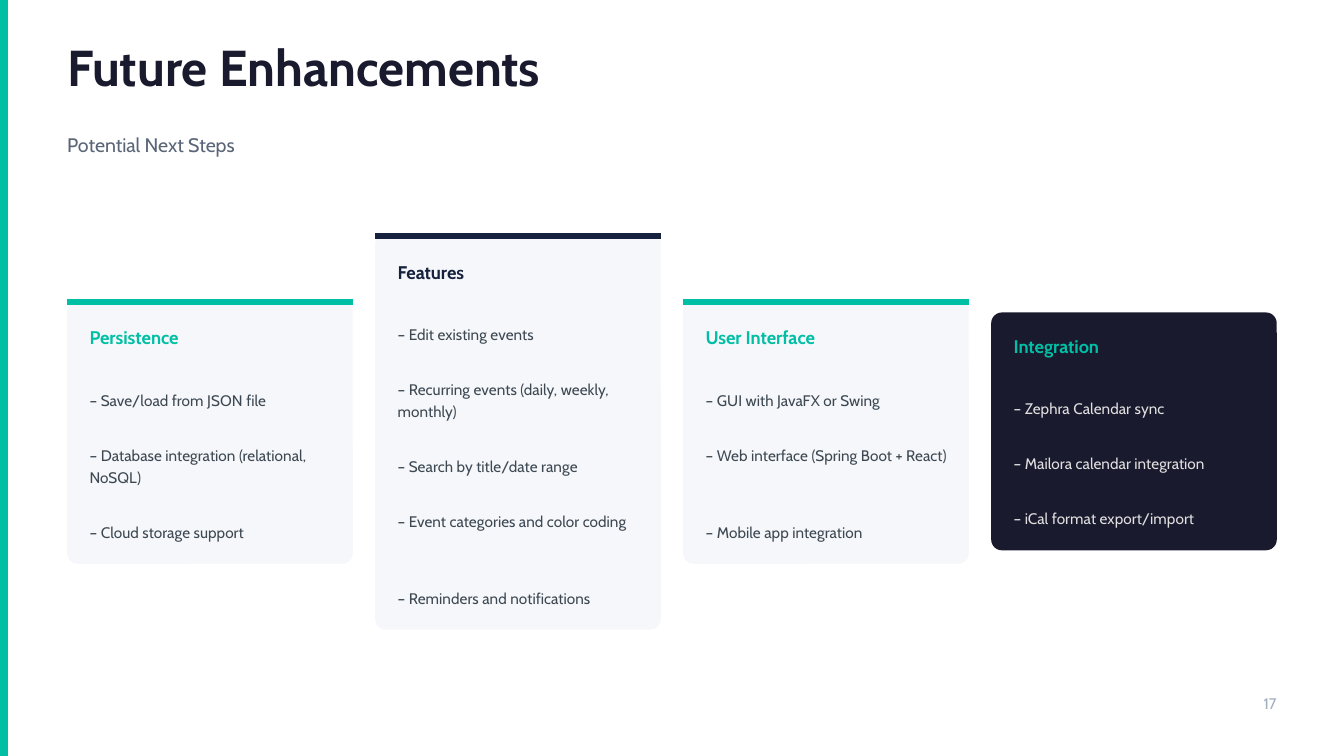
from dataclasses import dataclass

from lxml.etree import SubElement
from pptx import Presentation
from pptx.dml.color import RGBColor
from pptx.enum.shapes import MSO_CONNECTOR, MSO_SHAPE
from pptx.enum.text import MSO_ANCHOR, MSO_AUTO_SIZE, PP_ALIGN
from pptx.oxml.ns import qn
from pptx.util import Inches, Pt


@dataclass
class Theme:
    font: str = "Cabin"
    teal: str = "00BFA5"
    ink: str = "1A1A2E"
    navy: str = "16213E"
    slate: str = "5A6577"
    body: str = "3D4852"
    pale: str = "E0E0E0"
    mute: str = "A0AEC0"
    panel: str = "F5F7FA"
    # Each type size is paired with its line height, in points.
    title: tuple = (27, 27)
    lead: tuple = (10.5, 14.7)
    head: tuple = (9.75, 11.7)
    text: tuple = (8.25, 11.6)


def place(shape, x, y, w, h):
    """Move a text shape and give it a plain, top-aligned frame."""
    shape.left, shape.top = Inches(x), Inches(y)
    shape.width, shape.height = Inches(w), Inches(h)
    frame = shape.text_frame
    frame.margin_left = frame.margin_right = 0
    frame.margin_top = frame.margin_bottom = 0
    frame.word_wrap = True
    frame.auto_size = MSO_AUTO_SIZE.NONE
    frame.vertical_anchor = MSO_ANCHOR.TOP
    return frame


def write(par, text, kind, color, bold=False, before=0, after=0, align=PP_ALIGN.LEFT):
    size, line = kind
    par.text = text
    par.alignment = align
    par.line_spacing = Pt(line)
    par.space_before, par.space_after = Pt(before), Pt(after)
    par.font.name, par.font.size, par.font.bold = theme.font, Pt(size), bold
    par.font.color.rgb = RGBColor.from_string(color)
    props = par._p.get_or_add_pPr()
    props.set("marL", "0")
    props.set("indent", "0")
    SubElement(props, qn("a:buNone"))
    # Bullet settings come before the default run properties.
    props.append(props.find(qn("a:defRPr")))


theme = Theme()
wide = 10
high = wide * 9 / 16
edge = wide / 20
gap = pad = wide / 60
col = (wide - 2 * edge - 3 * gap) / 4
mid = 3.21
step, row = 0.41, 0.16
head_gap, item_gap = 20.9, 18

# Items: text, lines it fills, spare lines below it.
cards = [
    ("Persistence", theme.teal, theme.teal, theme.panel, theme.body, [
        ("Save/load from JSON file", 1, 0),
        ("Database integration (relational, NoSQL)", 2, 0),
        ("Cloud storage support", 1, 0)]),
    ("Features", theme.navy, theme.navy, theme.panel, theme.body, [
        ("Edit existing events", 1, 0),
        ("Recurring events (daily, weekly, monthly)", 2, 0),
        ("Search by title/date range", 1, 0),
        ("Event categories and color coding", 1, 1),
        ("Reminders and notifications", 1, 0)]),
    ("User Interface", theme.teal, theme.teal, theme.panel, theme.body, [
        ("GUI with JavaFX or Swing", 1, 0),
        ("Web interface (Spring Boot + React)", 1, 1),
        ("Mobile app integration", 1, 0)]),
    ("Integration", theme.teal, None, theme.ink, theme.pale, [
        ("Zephra Calendar sync", 1, 0),
        ("Mailora calendar integration", 1, 0),
        ("iCal format export/import", 1, 0)]),
]

deck = Presentation()
deck.slide_width, deck.slide_height = Inches(wide), Inches(high)
slide = deck.slides.add_slide(deck.slide_layouts.get_by_name("Comparison"))
shapes = slide.shapes
bodies = [p for p in slide.placeholders if p.placeholder_format.idx > 0]

strip = shapes.add_shape(MSO_SHAPE.RECTANGLE, 0, 0, Inches(0.06), Inches(high))
strip.shadow.inherit = False
strip.fill.solid()
strip.fill.fore_color.rgb = RGBColor.from_string(theme.teal)
strip.line.fill.background()

frame = place(shapes.title, edge, 0.34, wide - 2 * edge, 0.38)
write(frame.paragraphs[0], "Future Enhancements", theme.title, theme.ink, bold=True)

frame = place(shapes.add_textbox(0, 0, 0, 0), edge, 0.96, wide - 2 * edge, 0.2)
write(frame.paragraphs[0], "Potential Next Steps", theme.lead, theme.slate, before=6, after=15)

for i, (body, card) in enumerate(zip(bodies, cards)):
    name, accent, bar, fill, color, items = card
    rule = 0.04 if bar else 0
    extra = sum(lines + spare - 1 for text, lines, spare in items)
    tall = 0.54 + rule + step * len(items) + row * extra
    left, top = edge + i * (col + gap), mid - tall / 2

    panel = shapes.add_shape(MSO_SHAPE.ROUNDED_RECTANGLE, Inches(left), Inches(top),
                             Inches(col), Inches(tall))
    panel.adjustments[0] = 0.08 / min(col, tall)
    panel.shadow.inherit = False
    panel.fill.solid()
    panel.fill.fore_color.rgb = RGBColor.from_string(fill)
    panel.line.fill.background()

    if bar:
        y = Inches(top + rule / 2)
        line = shapes.add_connector(MSO_CONNECTOR.STRAIGHT, Inches(left), y,
                                    Inches(left + col), y)
        line.line.width = Pt(3)
        line.line.color.rgb = RGBColor.from_string(bar)
        SubElement(line.element.spPr, qn("a:effectLst"))

    shapes.element.append(body.element)  # bring the list in front of its panel
    frame = place(body, left + pad, top + pad + rule, 1.83, tall - 2 * pad - rule)
    write(frame.paragraphs[0], name, theme.head, accent, bold=True, after=head_gap)
    for text, lines, spare in items:
        write(frame.add_paragraph(), f"– {text}", theme.text, color,
              after=item_gap + spare * theme.text[1])

frame = place(shapes.add_textbox(0, 0, 0, 0), wide - edge - col, 5.14, col, row)
write(frame.paragraphs[0], "17", theme.text, theme.mute, before=6, align=PP_ALIGN.RIGHT)

deck.save("out.pptx")
